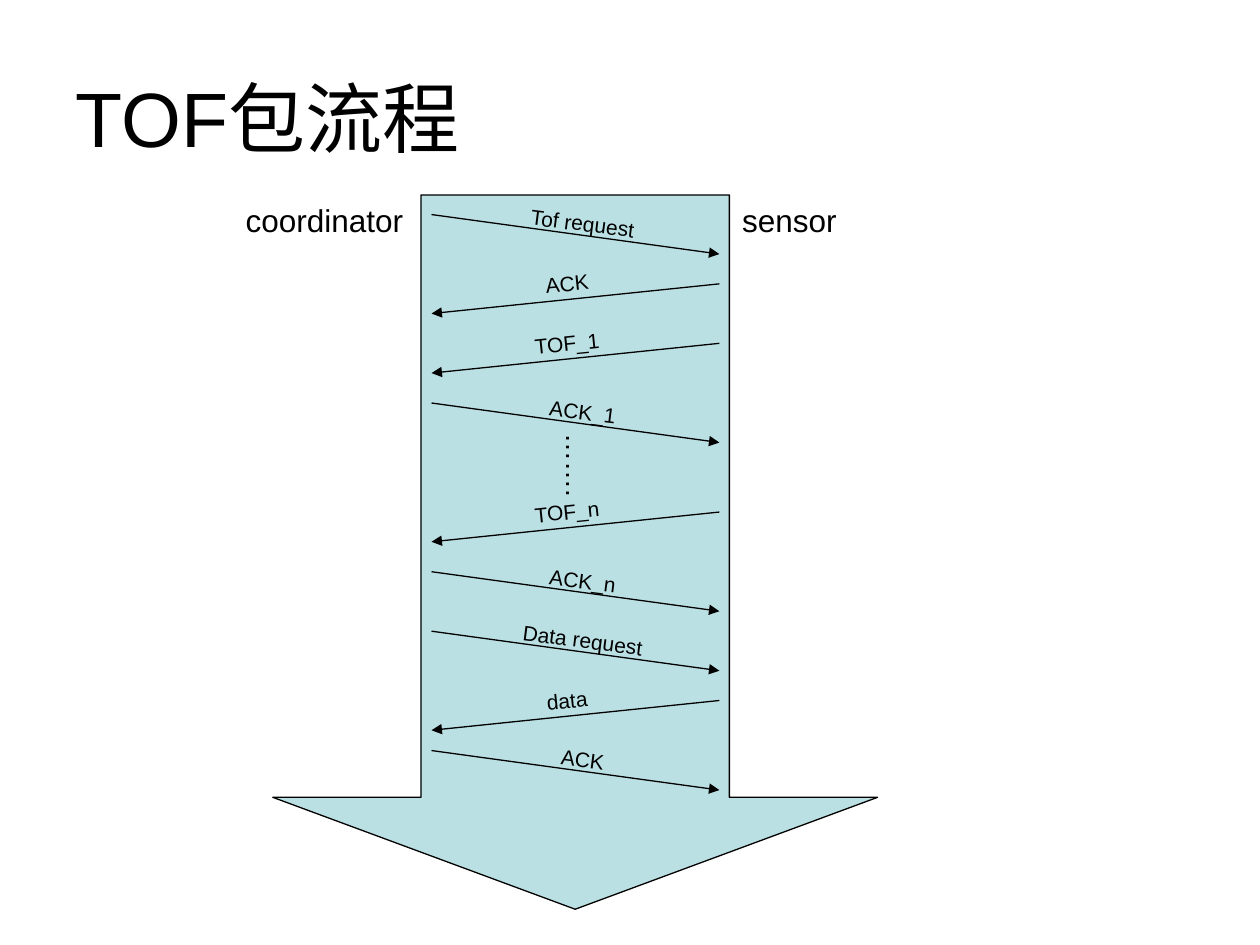
from lxml import etree
from pptx import Presentation
from pptx.dml.color import RGBColor
from pptx.enum.shapes import MSO_CONNECTOR, MSO_SHAPE
from pptx.enum.text import MSO_ANCHOR, MSO_AUTO_SIZE, PP_ALIGN
from pptx.oxml.ns import qn
from pptx.util import Pt

STRAIGHT = MSO_CONNECTOR.STRAIGHT
DOWN_ARROW = MSO_SHAPE.DOWN_ARROW
MIDDLE, TOP = MSO_ANCHOR.MIDDLE, MSO_ANCHOR.TOP
FIT, FIXED = MSO_AUTO_SIZE.SHAPE_TO_FIT_TEXT, MSO_AUTO_SIZE.NONE
LEFT, CENTER = PP_ALIGN.LEFT, PP_ALIGN.CENTER

COORDINATOR_X, SENSOR_X = 246.6, 411.1
LABEL_HEIGHT = 21.6

MESSAGES = [
    ("Tof request", 122.6, 76, True),
    ("ACK", 162.2, 40, False),
    ("TOF_1", 196.2, 53, False),
    ("ACK_1", 230.3, 54, True),
    ("TOF_n", 292.6, 53, False),
    ("ACK_n", 326.7, 54, True),
    ("Data request", 360.7, 85, True),
    ("data", 400.3, 40, False),
    ("ACK", 428.9, 40, True),
]


def color(value):
    return RGBColor.from_string(value)


def write(frame, text, *, size, font, ink, align=CENTER, anchor=TOP, wrap=False, fit=FIT):
    frame.word_wrap = wrap
    frame.auto_size = fit
    frame.vertical_anchor = anchor
    paragraph = frame.paragraphs[0]
    paragraph.alignment = align
    run = paragraph.add_run()
    run.text = text
    run.font.size = Pt(size)
    run.font.name = font
    run.font.color.rgb = color(ink)


class FlowSlide:
    font = "Arial"
    ink = "000000"
    fill = "BBE0E3"
    line_width = 0.75

    def __init__(self, slide):
        self.slide = slide

    def outline(self, line):
        line.color.rgb = color(self.ink)
        line.width = Pt(self.line_width)

    def title(self, text, left, top, width, height):
        heading = self.slide.shapes.title
        heading.left, heading.top = Pt(left), Pt(top)
        heading.width, heading.height = Pt(width), Pt(height)
        write(heading.text_frame, text, size=44, font=self.font, ink=self.ink,
              align=LEFT, anchor=MIDDLE, wrap=True, fit=FIXED)

    def down_arrow(self, left, top, width, height, shaft, head):
        arrow = self.slide.shapes.add_shape(
            DOWN_ARROW, Pt(left), Pt(top), Pt(width), Pt(height))
        arrow.adjustments[0], arrow.adjustments[1] = shaft, head
        arrow.shadow.inherit = False
        arrow.fill.solid()
        arrow.fill.fore_color.rgb = color(self.fill)
        self.outline(arrow.line)

    def label(self, text, left, top, width, height, size, rotation=0):
        box = self.slide.shapes.add_textbox(Pt(left), Pt(top), Pt(width), Pt(height))
        box.rotation = rotation
        write(box.text_frame, text, size=size, font=self.font, ink=self.ink)
        return box.text_frame

    def vertical_label(self, text, left, top, width, height, size):
        frame = self.label(text, left, top, width, height, size)
        frame.margin_left = frame.margin_right = Pt(3.6)
        frame.margin_top = frame.margin_bottom = Pt(7.2)
        frame._txBody.bodyPr.set("vert", "eaVert")

    def arrow(self, x1, y1, x2, y2):
        connector = self.slide.shapes.add_connector(STRAIGHT, Pt(x1), Pt(y1), Pt(x2), Pt(y2))
        self.outline(connector.line)
        etree.SubElement(connector.line._get_or_add_ln(), qn("a:tailEnd"), type="triangle")
        etree.SubElement(connector._element.spPr, qn("a:effectLst"))

    def message(self, text, y, width, to_sensor):
        if to_sensor:
            start, end, drop = COORDINATOR_X, SENSOR_X, 22.6
            center, offset, rotation = 333, 5, 7.3
        else:
            start, end, drop = SENSOR_X, COORDINATOR_X, 17
            center, offset, rotation = 324, -0.2, 354.1
        self.arrow(start, y, end, y + drop)
        self.label(text, center - width / 2, y + offset - LABEL_HEIGHT / 2,
                   width, LABEL_HEIGHT, 12, rotation)


def main():
    deck = Presentation()
    deck.slide_width, deck.slide_height = Pt(720), Pt(540)
    flow = FlowSlide(deck.slides.add_slide(deck.slide_layouts[5]))
    flow.title("TOF包流程", 36, 21.6, 648, 90)
    flow.down_arrow(155.9, 111.4, 345.6, 408.2, 0.51, 0.185)
    flow.label("coordinator", 133.2, 111.6, 104.4, 28.8, 18)
    flow.label("sensor", 416.9, 111.6, 68.4, 28.8, 18)
    for text, y, width, to_sensor in MESSAGES:
        flow.message(text, y, width, to_sensor)
    flow.vertical_label("…….", 310, 240.6, 33.1, 43.9, 16)
    deck.save("out.pptx")


if __name__ == "__main__":
    main()
